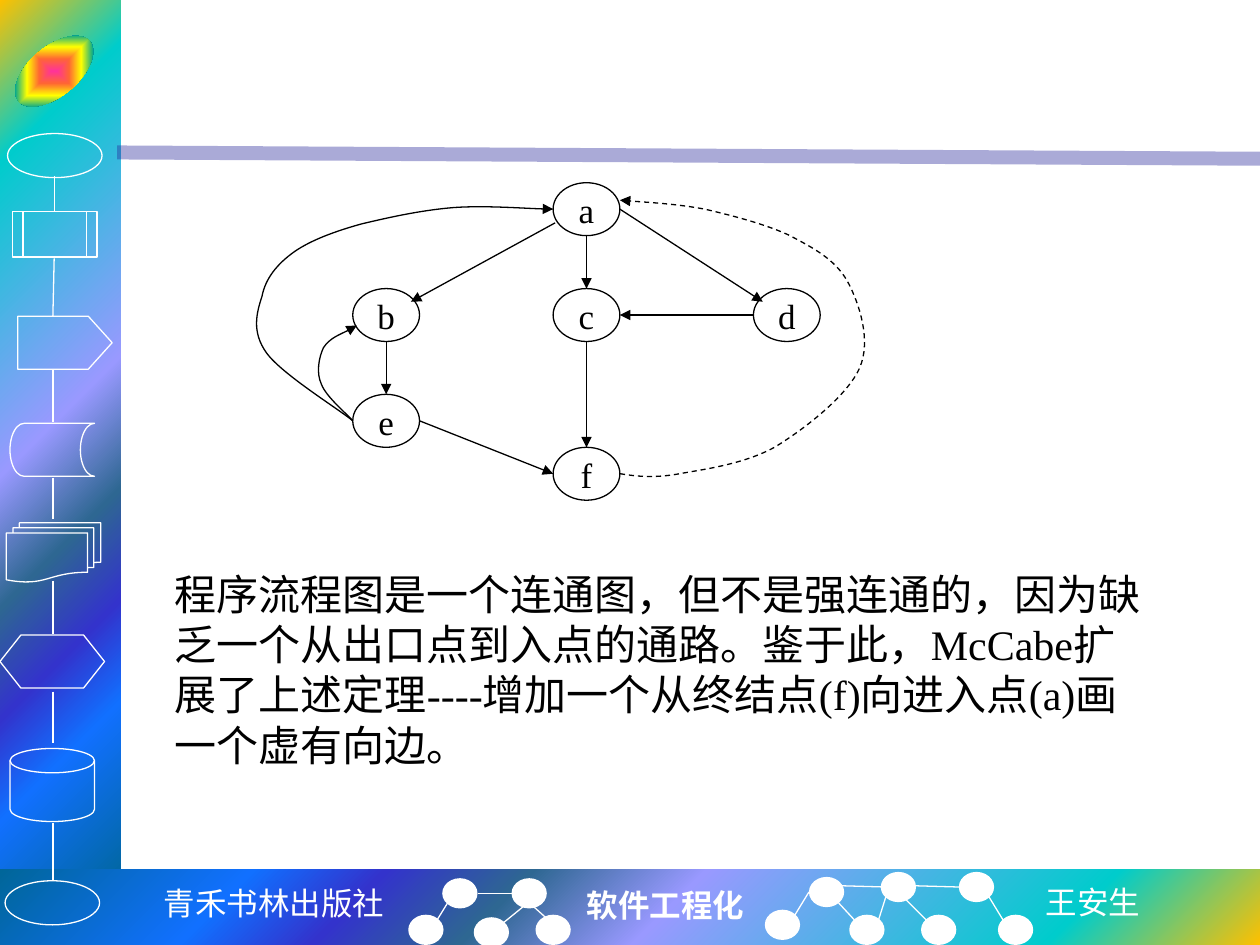
from dataclasses import dataclass

from pptx import Presentation
from pptx.dml.color import RGBColor
from pptx.enum.dml import MSO_LINE
from pptx.enum.shapes import MSO_CONNECTOR, MSO_SHAPE
from pptx.enum.text import MSO_AUTO_SIZE, PP_ALIGN
from pptx.oxml import parse_xml
from pptx.oxml.ns import nsdecls, qn
from pptx.oxml.xmlchemy import OxmlElement
from pptx.util import Inches, Pt

COLORS = {"ink": "000000", "light": "FFFFFF", "rule": "262699"}
PANEL = [(0, "FFC000"), (16, "00CCCC"), (47, "9999FF"), (60, "2E6792"),
         (71, "3333CC"), (81, "1170FF"), (100, "006699")]
BADGE = [(0, "FF3399"), (25, "FF6633"), (50, "FFFF00"), (75, "01A78F"), (100, "3366FF")]
SERIF, SANS, MONO = "Times New Roman", "Noto Sans CJK SC", "Noto Sans Mono"


@dataclass
class Grid:
    """A region's origin and cell size in inches."""
    left: float
    top: float
    col: float = 0.1
    row: float = 0.1

    def spot(self, x, y):
        return Inches(self.left + x * self.col), Inches(self.top + y * self.row)

    def box(self, x, y, wide, high):
        return *self.spot(x, y), Inches(wide * self.col), Inches(high * self.row)


# Shared drawing helpers
def style(shape, color, width=0.75, dash=None, arrow=False):
    shape.line.color.rgb = RGBColor.from_string(COLORS[color])
    shape.line.width = Pt(width)
    if dash:
        shape.line.dash_style = dash
    if arrow:
        tail = OxmlElement("a:tailEnd")
        tail.set("type", "triangle")
        shape.element.spPr.find(qn("a:ln")).append(tail)


def add_form(shapes, kind, box, line=None, fill=None):
    shape = shapes.add_shape(kind, *box)
    shape.shadow.inherit = False
    if fill:
        shape.fill.solid()
        shape.fill.fore_color.rgb = RGBColor.from_string(COLORS[fill])
    else:
        shape.fill.background()
    if line:
        style(shape, line)
    else:
        shape.line.fill.background()
    return shape


def blend(shape, stops, kind, focus):
    shape.fill.gradient()
    marks = "".join(f'<a:gs pos="{pos * 1000}"><a:srgbClr val="{color}"/></a:gs>'
                    for pos, color in stops)
    sides = " ".join(f'{side}="{share * 1000}"' for side, share in zip("ltrb", focus))
    old = shape.element.spPr.find(qn("a:gradFill"))
    old.getparent().replace(old, parse_xml(
        f'<a:gradFill rotWithShape="1" {nsdecls("a")}><a:gsLst>{marks}</a:gsLst>'
        f'<a:path path="{kind}"><a:fillToRect {sides}/></a:path></a:gradFill>'))


def add_line(shapes, grid, start, end, color, **look):
    line = shapes.add_connector(MSO_CONNECTOR.STRAIGHT, *grid.spot(*start), *grid.spot(*end))
    style(line, color, **look)
    line.element.spPr.append(OxmlElement("a:effectLst"))
    return line


def add_curve(shapes, grid, points, **look):
    spots = [grid.spot(*point) for point in points]
    pen = shapes.build_freeform(*spots[0])
    pen.add_line_segments(spots[1:], close=False)
    curve = pen.convert_to_shape()
    # Each three line points become one cubic segment
    legs = curve.element.xpath(".//a:lnTo")
    for first in range(0, len(legs), 3):
        cubic = OxmlElement("a:cubicBezTo")
        legs[first].addprevious(cubic)
        for leg in legs[first:first + 3]:
            cubic.append(leg[0])
            leg.getparent().remove(leg)
    curve.shadow.inherit = False
    curve.fill.background()
    style(curve, "ink", **look)


def add_text(shapes, box, text, size, face, color, bold=False, wrap=True, align=None, grow=True):
    frame = shapes.add_textbox(*box).text_frame
    fit = MSO_AUTO_SIZE.SHAPE_TO_FIT_TEXT if grow else MSO_AUTO_SIZE.NONE
    for key, value in {"word_wrap": wrap, "auto_size": fit}.items():
        setattr(frame, key, value)
    para = frame.paragraphs[0]
    para.alignment = align
    run = para.add_run()
    run.text = text
    for key, value in {"size": Pt(size), "name": face, "bold": bold}.items():
        setattr(run.font, key, value)
    run.font.color.rgb = RGBColor.from_string(COLORS[color])
    east = OxmlElement("a:ea")
    east.set("typeface", SANS)
    run.font._element.append(east)


# Colour bands and the rule under the header
def add_bands(shapes, grid):
    for box, focus in [((0, 0, 9.6, 70.9), (0, 0, 100, 100)),
                       ((0, 69, 100, 6), (100, 100, 0, 0))]:
        blend(add_form(shapes, MSO_SHAPE.RECTANGLE, grid.box(*box)), PANEL, "circle", focus)
    rule = add_line(shapes, grid, (9.3, 12.1), (100, 12.6), "rule", width=8)
    alpha = OxmlElement("a:alpha")
    alpha.set("val", "39000")
    rule.element.xpath(".//a:ln//a:srgbClr")[0].append(alpha)


# Column of flowchart symbols
def add_side(shapes, grid):
    badge = add_form(shapes, MSO_SHAPE.OVAL, grid.box(0.6, 3.7, 7.4, 3.9))
    blend(badge, BADGE, "rect", (50, 50, 50, 50))
    badge.rotation = -40
    for kind, box in [
            (MSO_SHAPE.OVAL, (0.6, 10.6, 7.5, 3.5)),
            (MSO_SHAPE.FLOWCHART_PREDEFINED_PROCESS, (1, 16.8, 6.7, 3.6)),
            (MSO_SHAPE.PENTAGON, (1.4, 25.1, 7.5, 4.2)),
            (MSO_SHAPE.FLOWCHART_STORED_DATA, (0.8, 33.6, 6.7, 4.2)),
            (MSO_SHAPE.FLOWCHART_MULTIDOCUMENT, (0.5, 41.5, 7.5, 4.7)),
            (MSO_SHAPE.FLOWCHART_PREPARATION, (0, 50.4, 8.3, 4.2)),
            (MSO_SHAPE.FLOWCHART_MAGNETIC_DISK, (0.8, 59.4, 6.7, 5.8)),
            (MSO_SHAPE.OVAL, (0.4, 69.9, 7.5, 3.5))]:
        shape = add_form(shapes, kind, grid.box(*box), "light")
        if kind == MSO_SHAPE.PENTAGON:
            shape.adjustments[0] = 0.45
    for x, top, end, low in [
            (4.3, 14, 4.3, 16.8), (4.3, 20.5, 4.2, 25.1), (4.2, 29.3, 4.2, 33.5),
            (4.2, 37.9, 4.2, 41.2), (4.2, 46.1, 4.2, 50.3), (4.2, 54.9, 4.2, 59),
            (4.2, 65.3, 4.2, 69.9)]:
        add_line(shapes, grid, (x, top), (end, low), "light")


# Footer captions and small trees
def add_foot(shapes, grid):
    for x, y in [(35.1, 0.7), (32.4, 3.6), (37.6, 3.8), (40.6, 0.7), (42.5, 3.6),
                 (60.7, 3.2), (64.2, 0.6), (67.4, 3.6), (69.9, 0.2), (73.1, 3.6),
                 (76.1, 0.2), (79.2, 3.6)]:
        add_form(shapes, MSO_SHAPE.OVAL, grid.box(x, y, 2.8, 2.4), fill="light")
    for x, y, end, low in [
            (34.7, 4, 35.5, 2.7), (40, 4.2, 41.6, 2.9), (40.6, 1.9, 37.9, 1.9),
            (43.4, 3.9, 42.4, 3), (63.1, 3.6, 64.2, 1.8), (67.8, 4, 66.5, 2.6),
            (66.8, 1.3, 70.3, 1.4), (69.7, 4.1, 70.3, 2.2), (73.5, 4, 71.5, 2),
            (72.6, 1.3, 76.1, 1.4), (79.6, 4, 78.5, 2.2)]:
        add_line(shapes, grid, (x, y), (end, low), "light")
    for text, box, face, bold, align in [
            ("青禾书林出版社", (11.9, 0.7, 19.7, 4), MONO, False, PP_ALIGN.CENTER),
            ("软件工程化", (45.6, 0.8, 14.6, 4), SERIF, True, None),
            ("王安生", (82, 0.6, 9.6, 4), SANS, False, None)]:
        add_text(shapes, grid.box(*box), text, 18, face, "light", bold, False, align)


# Control flow graph: one node fills one cell
def add_graph(shapes, grid):
    for name, x, y in [("a", 3, 0), ("c", 3, 2), ("b", 0, 2),
                       ("d", 6, 2), ("e", 0, 4), ("f", 3, 5)]:
        add_form(shapes, MSO_SHAPE.OVAL, grid.box(x, y, 1, 1), "ink")
        add_text(shapes, grid.box(x, y, 1, 1.5), name, 20, SERIF, "ink",
                 align=PP_ALIGN.CENTER, grow=False)
    for start, end in [((3.5, 1), (3.5, 2)), ((3.5, 3), (3.5, 5)), ((6, 2.5), (4, 2.5)),
                       ((4, 0.5), (6.14, 2.25)), ((3.03, 0.76), (0.87, 2.25)),
                       ((0.5, 3), (0.5, 4)), ((1, 4.5), (3, 5.5))]:
        add_line(shapes, grid, start, end, "ink", arrow=True)
    inner = [(0, 4.5), (-0.08, 4.38), (-0.4, 4.05), (-0.47, 3.81), (-0.55, 3.6),
             (-0.51, 3.31), (-0.44, 3.12), (-0.34, 2.93), (-0.04, 2.79), (0.06, 2.7)]
    outer = [(0, 4.5), (-0.21, 4.28), (-1.06, 3.62), (-1.29, 3.22), (-1.52, 2.82),
             (-1.44, 2.46), (-1.36, 2.15), (-1.31, 1.82), (-1.14, 1.54), (-0.87, 1.3),
             (-0.63, 1.09), (-0.27, 0.92), (0.13, 0.78), (0.53, 0.66), (1.02, 0.52),
             (1.52, 0.47), (1.99, 0.43), (2.69, 0.5), (3, 0.5)]
    added = [(4, 5.5), (4.2, 5.54), (4.47, 5.59), (4.85, 5.51), (5.23, 5.42), (5.85, 5.33),
             (6.33, 4.99), (6.78, 4.64), (7.41, 4.02), (7.59, 3.5), (7.77, 2.98),
             (7.58, 2.27), (7.41, 1.87), (7.22, 1.44), (6.89, 1.23), (6.53, 0.99),
             (6.17, 0.78), (5.68, 0.62), (5.27, 0.5), (4.85, 0.4), (4.26, 0.36), (4, 0.33)]
    for points, dash in [(inner, None), (outer, None), (added, MSO_LINE.DASH)]:
        add_curve(shapes, grid, points, dash=dash, arrow=True)


def main():
    deck = Presentation()
    deck.slide_width, deck.slide_height = Inches(10), Inches(7.5)
    shapes = deck.slides.add_slide(deck.slide_layouts[6]).shapes
    page = Grid(0, 0)
    add_bands(shapes, page)
    add_side(shapes, page)
    add_foot(shapes, Grid(0, 6.9))
    add_text(shapes, page.box(12.9, 44.6, 79.4, 17.2),
             "程序流程图是一个连通图，但不是强连通的，因为缺乏一个从出口点到入点的通路。"
             "鉴于此，McCabe扩展了上述定理----增加一个从终结点(f)向进入点(a)画一个虚有向边。",
             24, SERIF, "ink")
    add_graph(shapes.add_group_shape().shapes, Grid(2.8, 1.45, 0.53, 0.42))
    deck.save("out.pptx")


if __name__ == "__main__":
    main()
